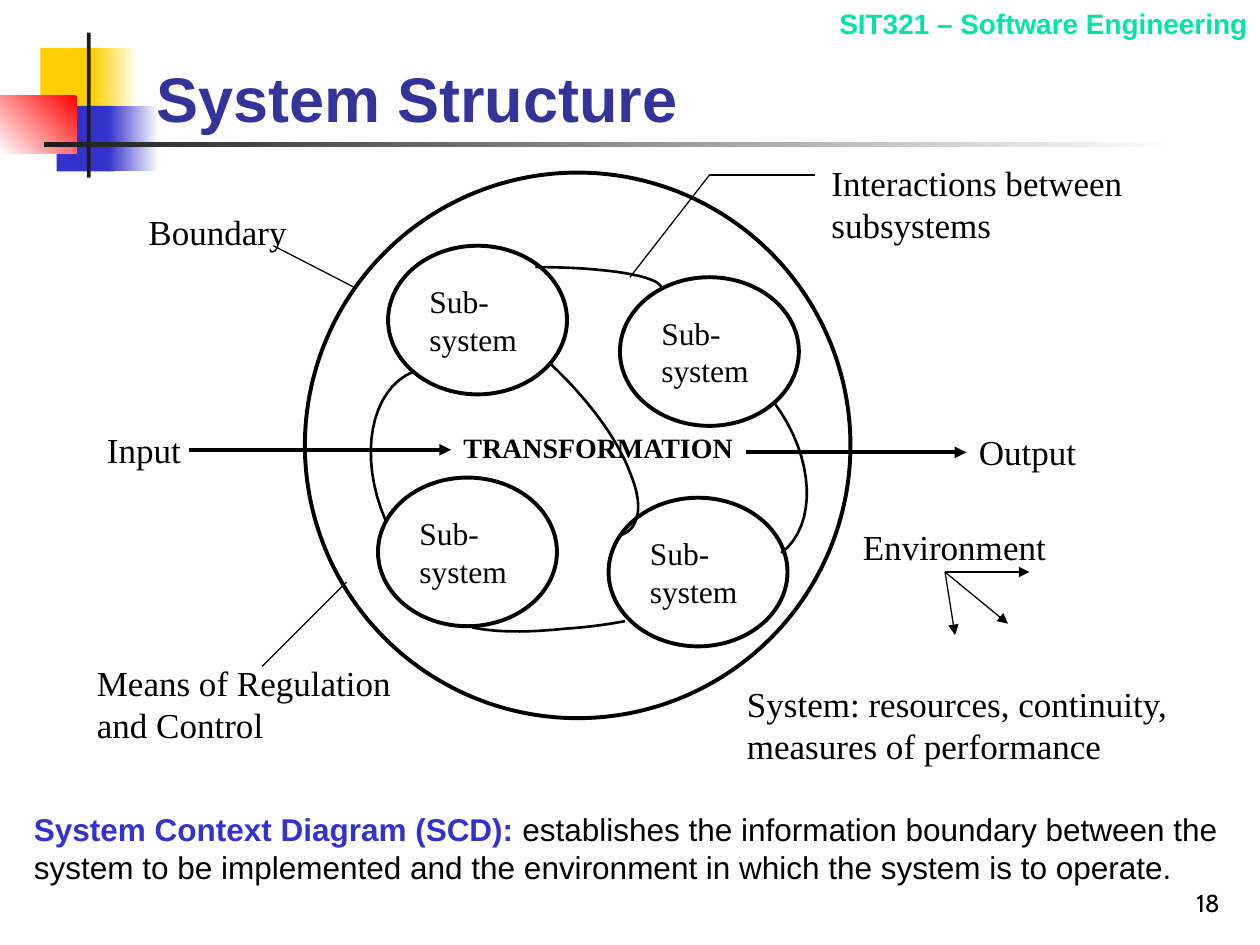
from pptx import Presentation
from pptx.dml.color import RGBColor
from pptx.enum.shapes import MSO_CONNECTOR, MSO_SHAPE
from pptx.enum.text import MSO_ANCHOR, PP_ALIGN
from pptx.oxml.ns import qn
from pptx.util import Inches, Pt
from lxml.etree import SubElement

BLACK = RGBColor(0x00, 0x00, 0x00)
WHITE = RGBColor(0xFF, 0xFF, 0xFF)
GOLD = RGBColor(0xFF, 0xCF, 0x01)
BLUE = RGBColor(0x33, 0x33, 0xCC)
NAVY = RGBColor(0x33, 0x33, 0x99)
RED = RGBColor(0xFF, 0x00, 0x00)
DARK = RGBColor(0x1C, 0x1C, 0x1C)
MINT = RGBColor(0x00, 0xE4, 0xA8)

SERIF = "Times New Roman"
SANS = "Arial"
THIN, MID, BOLD = 0.75, 1.5, 2.25


def bezier(a, b, c, d, steps=16):
    """Return the points of a cubic curve, both ends included."""
    def mix(t, i):
        u = 1 - t
        return u**3 * a[i] + 3 * u * u * t * b[i] + 3 * u * t * t * c[i] + t**3 * d[i]
    return [(mix(n / steps, 0), mix(n / steps, 1)) for n in range(steps + 1)]


class Board:
    """Holds the base text style and the current slide."""

    def __init__(self, slide):
        self.shapes = slide.shapes
        self.style = {"name": SERIF, "size": Pt(20), "bold": False}
        self.color = BLACK

    def text(self, box, *runs, frame=None, align=PP_ALIGN.LEFT, inset=(0.1, 0.05)):
        """Add a text box; each run is (words, color, font values)."""
        tf = self.shapes.add_textbox(*map(Inches, box)).text_frame
        side, edge = map(Inches, inset)
        values = {"word_wrap": True, "margin_left": side, "margin_right": side,
                  "margin_top": edge, "margin_bottom": edge, **(frame or {})}
        for key, value in values.items():
            setattr(tf, key, value)
        para = tf.paragraphs[0]
        para.alignment = align
        for words, color, font in runs:
            run = para.add_run()
            run.text = words
            for key, value in {**self.style, **font}.items():
                setattr(run.font, key, value)
            run.font.color.rgb = color

    def label(self, box, words, frame=None, **font):
        self.text(box, (words, self.color, font), frame=frame)

    def rect(self, box, *colors, angle=180):
        """Add a bar with one color, or a gradient of two."""
        bar = self.shapes.add_shape(MSO_SHAPE.RECTANGLE, *map(Inches, box))
        bar.shadow.inherit = False
        bar.line.fill.background()
        if len(colors) == 1:
            bar.fill.solid()
            bar.fill.fore_color.rgb = colors[0]
            return
        bar.fill.gradient()
        bar.fill.gradient_angle = angle
        for place, (stop, color) in enumerate(zip(bar.fill.gradient_stops, colors)):
            stop.position = place
            stop.color.rgb = color

    def ring(self, box):
        oval = self.shapes.add_shape(MSO_SHAPE.OVAL, *map(Inches, box))
        oval.shadow.inherit = False
        oval.fill.background()
        self.ink(oval.line, BOLD)

    def ink(self, line, width):
        line.color.rgb = self.color
        line.width = Pt(width)

    def line(self, start, end, width=THIN, arrow=False):
        link = self.shapes.add_connector(
            MSO_CONNECTOR.STRAIGHT, *map(Inches, start + end))
        self.ink(link.line, width)
        if arrow:
            SubElement(link.line._get_or_add_ln(), qn("a:tailEnd"), type="triangle")
        SubElement(link._element.spPr, qn("a:effectLst"))

    def curve(self, *knots):
        """Draw joined cubic curves: a start, then three points for each."""
        points = [knots[0]]
        for n in range(0, len(knots) - 1, 3):
            points += bezier(*knots[n:n + 4])[1:]
        points = [(Inches(x), Inches(y)) for x, y in points]
        pen = self.shapes.build_freeform(*points[0])
        pen.add_line_segments(points[1:], close=False)
        arc = pen.convert_to_shape()
        arc.shadow.inherit = False
        arc.fill.background()
        self.ink(arc.line, MID)


def motif(board):
    board.rect((0.32, 0.38, 0.48, 0.52), GOLD)
    board.rect((0.74, 0.38, 0.36, 0.52), WHITE, GOLD)
    board.rect((0.45, 0.84, 0.46, 0.52), BLUE)
    board.rect((0.86, 0.84, 0.4, 0.52), WHITE, BLUE)
    board.rect((0, 0.76, 0.61, 0.46), RED, WHITE, angle=225)
    board.rect((0.69, 0.26, 0.03, 1.15), DARK)
    board.rect((0.35, 1.13, 9, 0.04), WHITE, DARK)


def diagram(board):
    board.ring((2.42, 1.37, 4.33, 4.33))
    board.label((3.58, 3.37, 2.42, 0.37), "TRANSFORMATION", size=Pt(16), bold=True)
    for x, y in ((3.08, 1.95), (4.92, 2.2), (4.83, 3.95), (3, 3.79)):
        board.ring((x, y, 1.42, 1.18))
        board.label((x + 0.23, y + 0.24, 0.96, 0.7), "Sub-system", size=Pt(18))

    for box, words in (
        ((6.5, 1.23, 2.58, 0.77), "Interactions between subsystems"),
        ((7.67, 3.37, 1.25, 0.44), "Output"),
        ((6.75, 4.12, 1.67, 0.44), "Environment"),
        ((5.83, 5.37, 3.67, 0.77),
         "System: resources, continuity, measures of performance"),
        ((0.67, 5.2, 2.75, 0.77), "Means of Regulation and Control"),
        ((1.08, 1.62, 1.33, 0.44), "Boundary"),
    ):
        board.label(box, words)
    board.label((0.75, 3.35, 0.83, 0.44), "Input",
                frame={"vertical_anchor": MSO_ANCHOR.MIDDLE})

    board.line((1.5, 3.57), (3.58, 3.57), BOLD, arrow=True)
    board.line((5.92, 3.59), (7.67, 3.59), BOLD, arrow=True)
    for tip in ((8.17, 4.54), (7.58, 5.04), (8, 4.95)):
        board.line((7.5, 4.54), tip, arrow=True)
    for start, end in (
        ((2.75, 4.62), (2.08, 5.29)),
        ((2.83, 2.29), (2.17, 1.95)),
        ((5, 2.2), (5.63, 1.39)),
        ((5.63, 1.39), (6.47, 1.39)),
    ):
        board.line(start, end)

    board.curve((4.25, 2.12), (4.8, 2.12), (5.25, 2.19), (5.25, 2.29))
    board.curve((6.14, 3.19), (6.47, 3.63), (6.49, 4.17), (6.2, 4.39))
    board.curve((3.06, 4.13), (2.84, 3.62), (2.94, 3.09), (3.28, 2.95))
    board.curve((4.96, 4.93), (4.8, 4.96), (4.64, 4.98), (4.48, 4.99),
                (4.2, 5.02), (3.93, 5.02), (3.75, 4.98))
    board.curve((4.36, 2.88), (4.66, 3.16), (4.9, 3.48), (5, 3.75),
                (5.11, 4.01), (5.08, 4.2), (4.92, 4.25))


def main():
    deck = Presentation()
    deck.slide_width, deck.slide_height = Inches(10), Inches(7.5)
    board = Board(deck.slides.add_slide(deck.slide_layouts[6]))
    base = {"vertical_anchor": MSO_ANCHOR.BOTTOM}
    sans = {"name": SANS, "size": Pt(18)}

    motif(board)
    board.text((6.53, 0, 3.47, 0.37),
               ("SIT321 – Software Engineering", MINT,
                {"name": SANS, "size": Pt(16), "bold": True}),
               align=PP_ALIGN.RIGHT)
    board.text((1.14, 0.28, 8.52, 0.84),
               ("System Structure", NAVY,
                {"name": SANS, "size": Pt(36), "bold": True}),
               frame=base)
    diagram(board)
    board.text((0.27, 6.43, 9.53, 0.6),
               ("System Context Diagram (SCD):", BLUE, {**sans, "bold": True}),
               (" establishes the information boundary between the system to be "
                "implemented and the environment in which the system is to operate.",
                BLACK, sans),
               inset=(0, 0))
    board.text((7.7, 6.83, 2.08, 0.5),
               ("18", BLACK, {"name": "Cabin", "size": Pt(14)}),
               frame=base, align=PP_ALIGN.RIGHT)
    deck.save("out.pptx")


if __name__ == "__main__":
    main()
